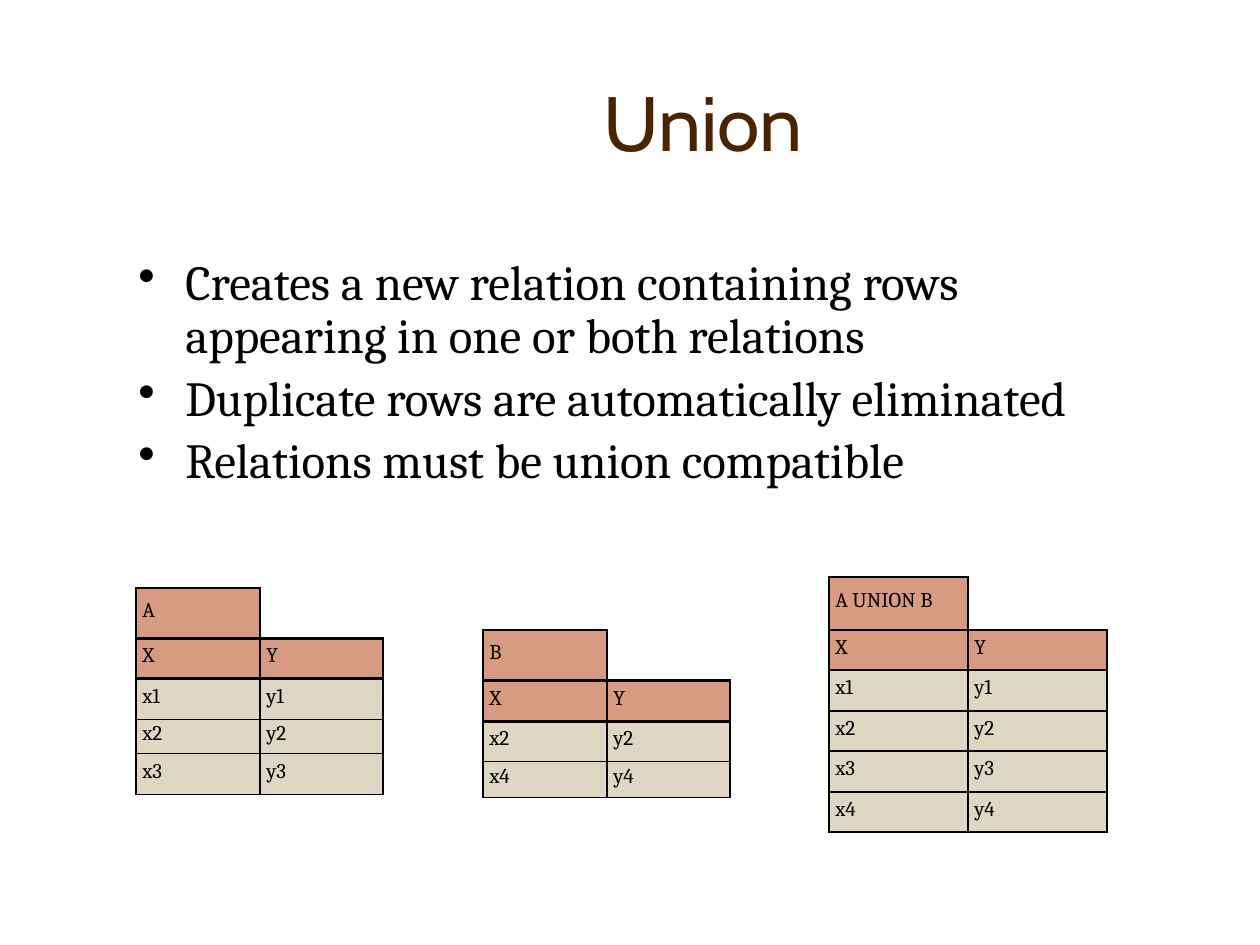
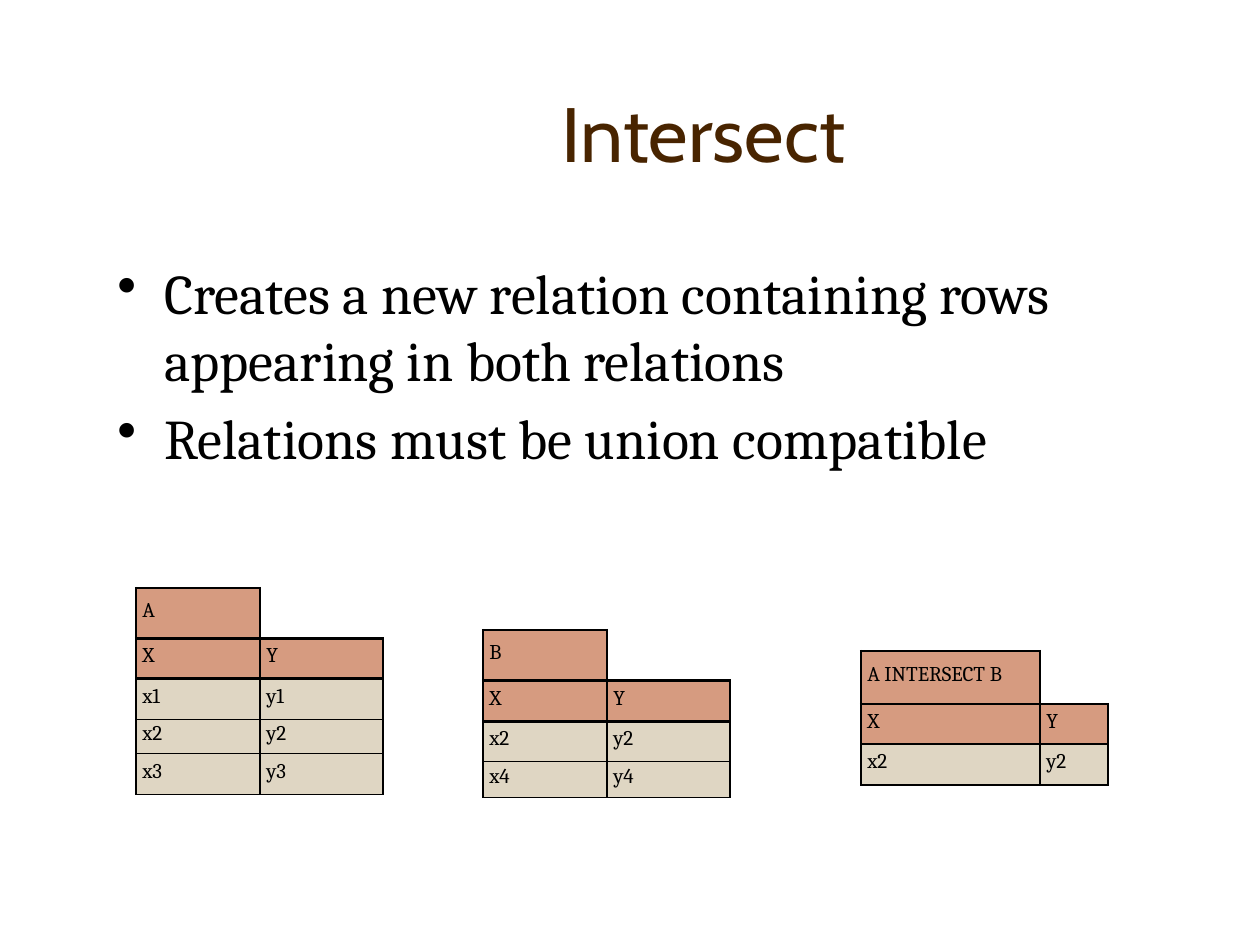
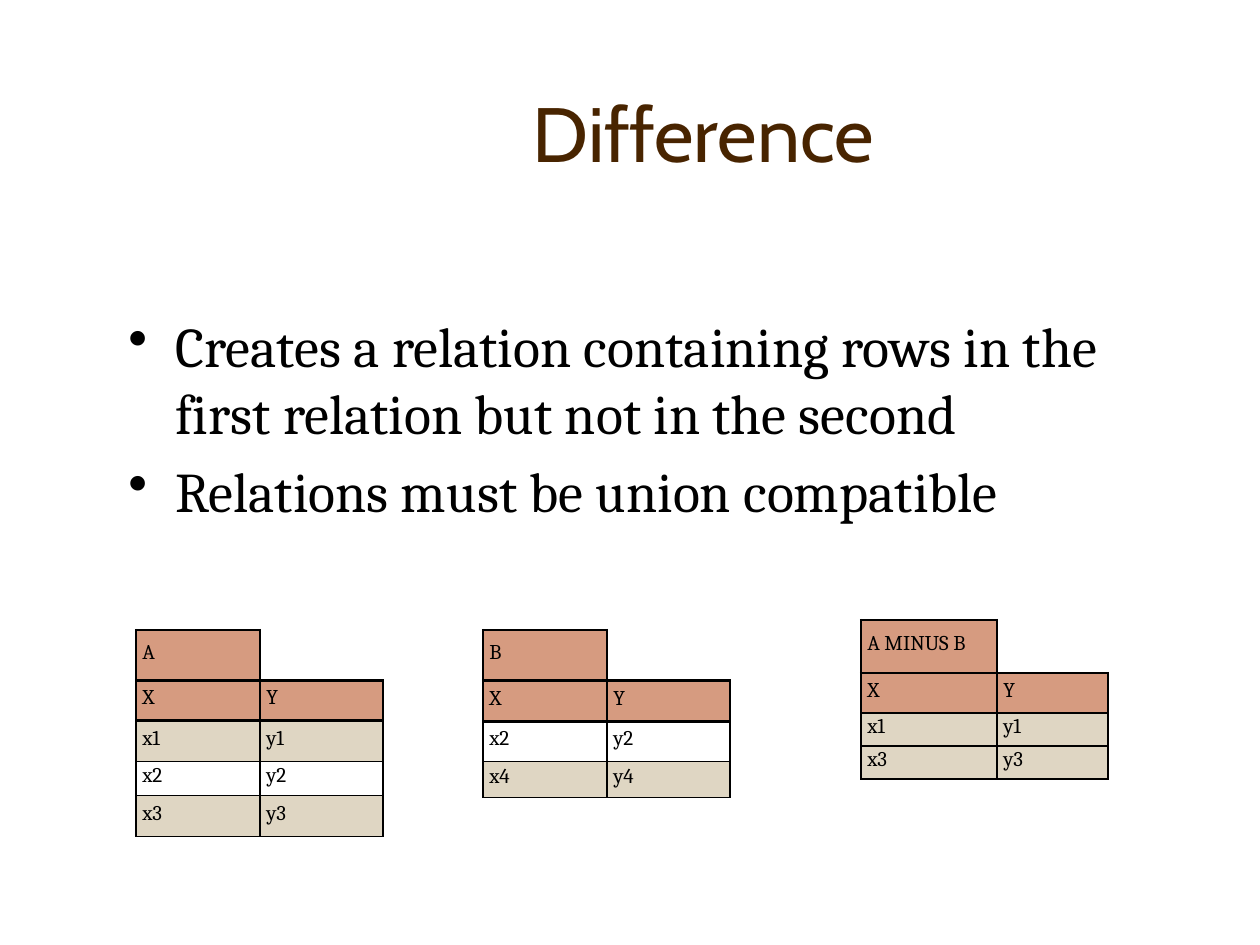
from lxml.etree import SubElement
from pptx import Presentation
from pptx.dml.color import RGBColor
from pptx.enum.text import MSO_ANCHOR, PP_ALIGN
from pptx.oxml import parse_xml
from pptx.oxml.ns import nsdecls, qn
from pptx.util import Pt

HUE = {"title": "482400", "ink": "000000", "head": "D69B80",
       "row": "DFD6C3", "gone": "FFFFFF"}
HEAD, BODY = "Cabin", "Cambria"
THICK, THIN = 1.5, 1
SAME = "Relations must be union compatible"
SPLIT = (124, 123)
HIGH_A = (42, 40, 41, 34, 41)
HIGH_B = (40, 41, 40, 36)
ROWS_A, ROWS_B = (1, 2, 3), (2, 4)

SLIDES = [
    {"title": "Union", "tall": 136, "size": 28, "lead": 0.9,
     "box": (126, 252, 1018, 210),
     "points": ["Creates a new relation containing rows appearing in one "
                "or both relations",
                "Duplicate rows are automatically eliminated", SAME],
     "tables": [("A", 136, 588, SPLIT, HIGH_A, ROWS_A),
                ("B", 483, 630, SPLIT, HIGH_B, ROWS_B),
                ("A UNION B", 829, 577, (139, 139),
                 (53, 40, 41, 40, 41, 40), (1, 2, 3, 4))],
     "gone": ()},
    {"title": "Intersect", "tall": 158, "size": 32, "lead": 1.0,
     "box": (105, 252, 1040, 262),
     "points": ["Creates a new relation containing rows appearing in both "
                "relations", SAME],
     "tables": [("A", 136, 588, SPLIT, HIGH_A, ROWS_A),
                ("B", 483, 630, SPLIT, HIGH_B, ROWS_B),
                ("A INTERSECT B", 861, 651, (179, 68), (53, 40, 41), (2,))],
     "gone": ()},
    {"title": "Difference", "tall": 158, "size": 32, "lead": 1.0,
     "box": (116, 305, 1018, 252),
     "points": ["Creates a relation containing rows in the first relation "
                "but not in the second", SAME],
     "tables": [("A", 136, 630, SPLIT, HIGH_A, ROWS_A),
                ("B", 483, 630, SPLIT, HIGH_B, ROWS_B),
                ("A MINUS B", 861, 620, (136, 111), (53, 40, 33, 33), (1, 3))],
     "gone": (2,)},
]


def px(n):
    return round(n * 914400 / 126)


def put(frame, lines, size=12, font=BODY, hue="ink", align=PP_ALIGN.LEFT,
        lead=1.0, gap=0.2, dots=False):
    frame.word_wrap = True
    for i, line in enumerate(lines):
        para = frame.paragraphs[0] if i == 0 else frame.add_paragraph()
        para.alignment = align
        para.line_spacing = lead
        para.space_before = Pt(round(size * gap, 1))
        if dots:
            props = para._p.get_or_add_pPr()
            props.set("marL", str(px(47)))
            props.set("indent", str(-px(47)))
            SubElement(props, qn("a:buChar")).set("char", "•")
        run = para.add_run()
        run.text = line
        run.font.size = Pt(size)
        run.font.name = font
        run.font.color.rgb = RGBColor.from_string(HUE[hue])


def edge(cell, **sides):
    props = cell._tc.get_or_add_tcPr()
    for i, side in enumerate("LRTB"):
        wide = sides.get(side, 0)
        fill = (f'<a:solidFill><a:srgbClr val="{HUE["ink"]}"/></a:solidFill>'
                if wide else "<a:noFill/>")
        props.insert(i, parse_xml(
            f'<a:ln{side} {nsdecls("a")} w="{Pt(wide)}">{fill}</a:ln{side}>'))


def grid(slide, name, left, top, cols, highs, keys, gone):
    rows = [(name, ""), ("X", "Y")] + [(f"x{k}", f"y{k}") for k in keys]
    table = slide.shapes.add_table(
        len(rows), len(cols), px(left), px(top),
        px(sum(cols)), px(sum(highs))).table
    table.first_row = table.horz_banding = False
    for col, wide in zip(table.columns, cols):
        col.width = px(wide)
    for r, (row, high) in enumerate(zip(rows, highs)):
        table.rows[r].height = px(high)
        for c, text in enumerate(row):
            cell = table.cell(r, c)
            cell.margin_left = cell.margin_right = Pt(3.6)
            cell.margin_top = cell.margin_bottom = Pt(3.6)
            cell.vertical_anchor = MSO_ANCHOR.MIDDLE
            put(cell.text_frame, [text], lead=0.6)
            if not text:
                cell.fill.background()
                edge(cell, L=THICK, B=THICK)
                continue
            if r < 2:
                hue = "head"
                edge(cell, L=THICK, R=THICK, T=THICK, B=THICK)
            else:
                hue = "gone" if keys[r - 2] in gone else "row"
                edge(cell, L=THIN, R=THIN, T=THICK if r == 2 else THIN, B=THIN)
            cell.fill.solid()
            cell.fill.fore_color.rgb = RGBColor.from_string(HUE[hue])


def frame(slide, *box):
    return slide.shapes.add_textbox(*map(px, box)).text_frame


deck = Presentation()
deck.slide_width, deck.slide_height = px(1260), px(945)
for item in SLIDES:
    slide = deck.slides.add_slide(deck.slide_layouts[6])
    title = frame(slide, 168, 53, 1071, item["tall"])
    title.vertical_anchor = MSO_ANCHOR.MIDDLE
    put(title, [item["title"]], size=44, font=HEAD, hue="title",
        align=PP_ALIGN.CENTER, gap=0)
    put(frame(slide, *item["box"]), item["points"], size=item["size"],
        lead=item["lead"], dots=True)
    for spec in item["tables"]:
        grid(slide, *spec, item["gone"])
deck.save("out.pptx")
